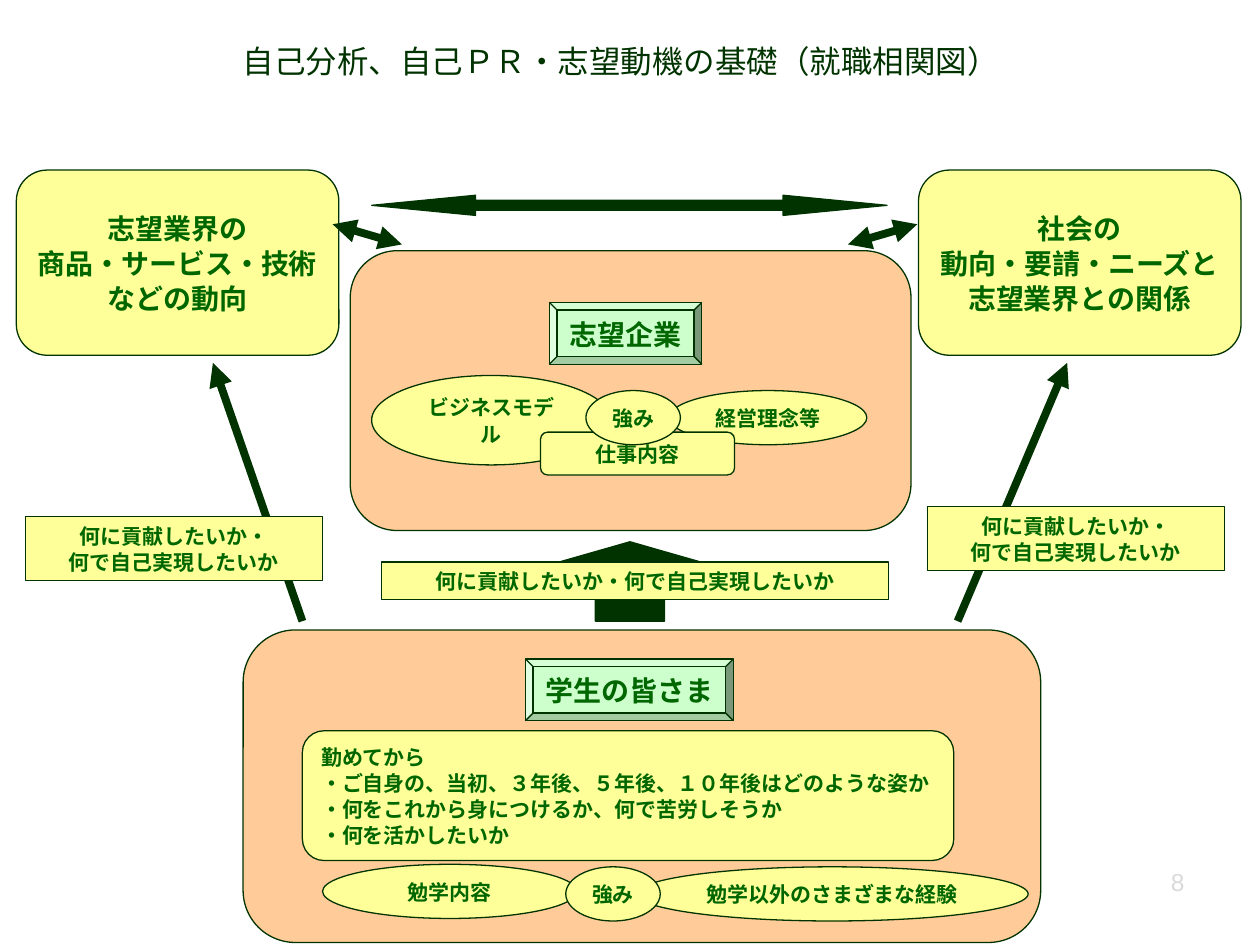
"""Build the slide that maps how students, firms and industry relate."""
from lxml import etree
from pptx import Presentation
from pptx.dml.color import RGBColor
from pptx.enum.shapes import MSO_CONNECTOR, MSO_SHAPE
from pptx.enum.text import MSO_ANCHOR, PP_ALIGN
from pptx.oxml.ns import qn
from pptx.util import Inches, Pt

ROUND = MSO_SHAPE.ROUNDED_RECTANGLE
RECT = MSO_SHAPE.RECTANGLE
OVAL = MSO_SHAPE.OVAL
BEVEL = MSO_SHAPE.BEVEL
UP = MSO_SHAPE.UP_ARROW
BOTH = MSO_SHAPE.LEFT_RIGHT_ARROW
LINE = MSO_CONNECTOR.STRAIGHT
LEFT, MID, RIGHT = PP_ALIGN.LEFT, PP_ALIGN.CENTER, PP_ALIGN.RIGHT
TOP, CENTER = MSO_ANCHOR.TOP, MSO_ANCHOR.MIDDLE

DARK = RGBColor(0x00, 0x33, 0x00)
GREEN = RGBColor(0x00, 0x66, 0x00)
PEACH = RGBColor(0xFF, 0xCC, 0x99)
YELLOW = RGBColor(0xFF, 0xFF, 0x99)
MINT = RGBColor(0xCC, 0xFF, 0xCC)
GREY = RGBColor(0xDA, 0xDA, 0xDA)
LATIN, ASIAN = "Arial", "Noto Sans CJK JP"


def write(shape, text, size=12, color=GREEN, bold=True, align=MID,
          anchor=CENTER, wrap=True, font=LATIN, pitch=None):
    frame = shape.text_frame
    frame.word_wrap = wrap
    frame.vertical_anchor = anchor
    frame.text = text
    for para in frame.paragraphs:
        para.alignment = align
        if pitch:
            para.line_spacing = Pt(pitch)
        for run in para.runs:
            run.font.size = Pt(size)
            run.font.bold = bold
            run.font.color.rgb = color
            run.font.name = font
            props = run.font._element
            etree.SubElement(props, qn("a:ea")).set("typeface", ASIAN)


def draw(kind, box, fill=YELLOW):
    shape = slide.shapes.add_shape(kind, *map(Inches, box))
    shape.shadow.inherit = False
    shape.fill.solid()
    shape.fill.fore_color.rgb = fill
    shape.line.color.rgb = DARK
    shape.line.width = Pt(0.75)
    return shape


deck = Presentation()
deck.slide_width, deck.slide_height = Inches(10), Inches(7.5)
slide = deck.slides.add_slide(deck.slide_layouts[5])

title = slide.shapes.title
title.left, title.top = Inches(0.75), Inches(0.28)
title.width, title.height = Inches(8.35), Inches(0.89)
write(title, "自己分析、自己ＰＲ・志望動機の基礎（就職相関図）", size=18,
      color=DARK, bold=False, anchor=TOP, font=ASIAN)

number = slide.shapes.add_textbox(*map(Inches, (7.17, 6.83, 2.33, 0.52)))
write(number, "8", size=14, color=GREY, bold=False, align=RIGHT, anchor=TOP)

for panel in ((1.93, 5, 6.33, 2.48), (2.78, 1.99, 4.45, 2.22)):
    draw(ROUND, panel, PEACH)

trends = (
    (0.13, "志望業界の\n商品・サービス・技術\nなどの動向"),
    (7.29, "社会の\n動向・要請・ニーズと\n志望業界との関係"),
)
for left, text in trends:
    write(draw(ROUND, (left, 1.35, 2.56, 1.47)), text, size=16,
          wrap=False, pitch=20)

draw(UP, (4.45, 4.3, 1.1, 0.63), DARK).adjustments[1] = 0.25
draw(BOTH, (2.95, 1.55, 4.09, 0.16), DARK).adjustments[1] = 5.16

links = (
    (2.4, 4.93, 1.69, 2.88, ["tailEnd"]),
    (7.6, 4.93, 8.47, 2.88, ["tailEnd"]),
    (7.28, 1.78, 6.73, 1.94, ["headEnd", "tailEnd"]),
    (3.19, 1.94, 2.64, 1.78, ["headEnd", "tailEnd"]),
)
for *ends, heads in links:
    link = slide.shapes.add_connector(LINE, *map(Inches, ends))
    link.line.color.rgb = DARK
    link.line.width = Pt(4.5)
    for head in heads:
        tip = etree.SubElement(link.line._get_or_add_ln(), qn(f"a:{head}"))
        tip.set("type", "triangle")
    etree.SubElement(link._element.spPr, qn("a:effectLst"))

ovals = (
    (5.05, 6.88, 3.11, 0.43, "勉学以外のさまざまな経験", False),
    (5.31, 3.1, 1.57, 0.43, "経営理念等", True),
    (2.95, 2.98, 1.9, 0.71, "ビジネスモデル", True),
    (2.56, 6.86, 2.02, 0.43, "勉学内容", True),
)
for *box, text, wrap in ovals:
    write(draw(OVAL, box), text, wrap=wrap, pitch=15)

write(draw(ROUND, (4.29, 3.43, 1.54, 0.34)), "仕事内容", pitch=15)
for left, top in ((4.65, 3.1), (4.49, 6.88)):
    write(draw(OVAL, (left, top, 0.75, 0.43)), "強み", wrap=False, pitch=15)

heads = ((4.36, 2.4, 1.21, "志望企業"), (4.17, 5.23, 1.65, "学生の皆さま"))
for left, top, width, text in heads:
    write(draw(BEVEL, (left, top, width, 0.49), MINT), text, size=16,
          wrap=False, pitch=20)

give, fulfil = "何に貢献したいか・", "何で自己実現したいか"
goals = (
    (0.2, 4.1, 2.36, 0.51, f"{give}\n{fulfil}"),
    (7.36, 4.02, 2.36, 0.51, f"{give}\n{fulfil}"),
    (3.03, 4.46, 4.02, 0.3, give + fulfil),
)
for *box, text in goals:
    write(draw(RECT, box), text, pitch=15)

plans = (
    "勤めてから",
    "・ご自身の、当初、３年後、５年後、１０年後はどのような姿か",
    "・何をこれから身につけるか、何で苦労しそうか",
    "・何を活かしたいか",
)
write(draw(ROUND, (2.4, 5.8, 5.17, 1.03)), "\n".join(plans), align=LEFT,
      pitch=15)

deck.save("out.pptx")
